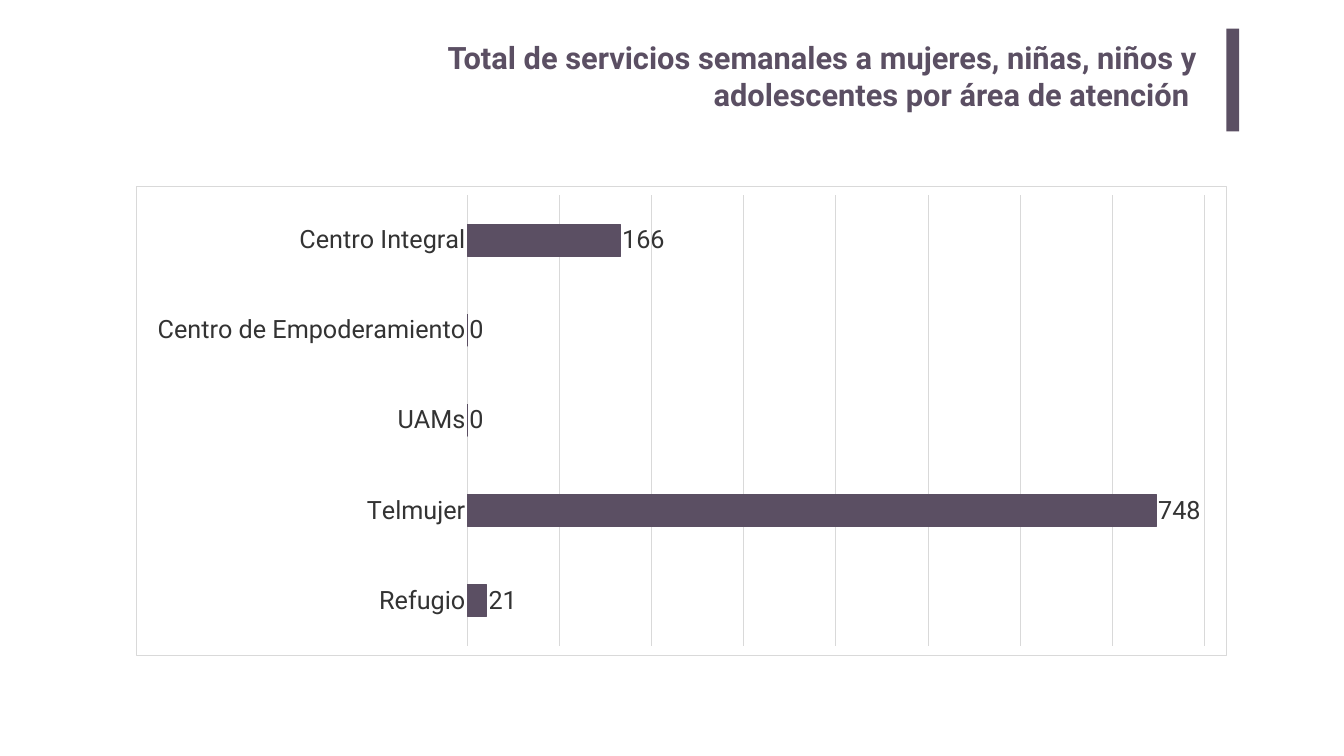
import pptx
import pptx.chart.data
import pptx.dml.color
import pptx.enum.chart
import pptx.enum.shapes
import pptx.enum.text
import pptx.oxml
import pptx.oxml.ns
import pptx.util

Pt = pptx.util.Pt
FONT = "Roboto"
COLORS = {"plum": "5B4F63", "text": "333333", "grid": "D9D9D9",
          "paper": "FFFFFF", "black": "000000"}
SERVICES = {"Centro Integral": 166, "Centro de Empoderamiento": 0, "UAMs": 0,
            "Telmujer": 748, "Refugio": 21}


def rgb(name):
    return pptx.dml.color.RGBColor.from_string(COLORS[name])


def format_font(font, size, color, bold=False):
    font.name = FONT
    font.size = Pt(size)
    font.bold = bold
    font.color.rgb = rgb(color)


def format_line(line, color):
    line.color.rgb = rgb(color)
    line.width = Pt(0.75)


def write_text(frame, text, *, size, color, bold=False, align=None):
    para = frame.paragraphs[0]
    para.alignment = align
    span = para.add_run()
    span.text = text
    format_font(span.font, size, color, bold)


def add_heading(page, left, top, width, height):
    """Right-aligned title with an upright accent bar at its right end."""
    bar_width = 18.5
    title = page.shapes.title
    title.left, title.top = Pt(left), Pt(top + 7.2)
    title.width, title.height = Pt(width - bar_width - 26.6), Pt(height)
    frame = title.text_frame
    frame.word_wrap = True
    frame.auto_size = pptx.enum.text.MSO_AUTO_SIZE.NONE
    frame.vertical_anchor = pptx.enum.text.MSO_ANCHOR.TOP
    frame.margin_left = frame.margin_right = Pt(14.4)
    frame.margin_top = frame.margin_bottom = Pt(7.2)
    write_text(frame, "Total de servicios semanales a mujeres, niñas, niños y "
               "adolescentes por área de atención ", size=44, color="plum",
               bold=True, align=pptx.enum.text.PP_ALIGN.RIGHT)

    bar = page.shapes.add_shape(
        pptx.enum.shapes.MSO_SHAPE.RECTANGLE, Pt(left + width - bar_width),
        Pt(top), Pt(bar_width), Pt(height))
    bar.shadow.inherit = False
    bar.fill.solid()
    bar.fill.fore_color.rgb = rgb("plum")
    bar.line.fill.background()


def frame_chart(chart):
    """Give the chart area its fill and thin border."""
    area = pptx.oxml.parse_xml(
        f'<c:spPr {pptx.oxml.ns.nsdecls("c", "a")}>'
        f'<a:solidFill><a:srgbClr val="{COLORS["paper"]}"/></a:solidFill>'
        f'<a:ln w="{Pt(0.75)}"><a:solidFill><a:srgbClr val="{COLORS["grid"]}"/>'
        '</a:solidFill></a:ln></c:spPr>')
    chart.element.find(pptx.oxml.ns.qn("c:chart")).addnext(area)


def add_service_chart(page, left, top, width, height):
    data = pptx.chart.data.CategoryChartData()
    data.categories = list(SERVICES)
    data.add_series("Series 1", list(SERVICES.values()))
    chart = page.shapes.add_chart(
        pptx.enum.chart.XL_CHART_TYPE.BAR_CLUSTERED,
        Pt(left), Pt(top), Pt(width), Pt(height), data).chart
    format_font(chart.font, 10, "black")
    chart.has_legend = False
    chart.has_title = False
    frame_chart(chart)

    names = chart.category_axis
    names.reverse_order = True
    names.major_tick_mark = pptx.enum.chart.XL_TICK_MARK.NONE
    format_font(names.tick_labels.font, 36, "text")
    format_line(names.format.line, "grid")

    values = chart.value_axis
    values.minimum_scale, values.maximum_scale, values.major_unit = 0, 800, 100
    values.has_major_gridlines = True
    format_line(values.major_gridlines.format.line, "grid")
    values.visible = False

    plot = chart.plots[0]
    plot.gap_width = 182
    plot.vary_by_categories = False
    bars = plot.series[0]
    bars.format.fill.solid()
    bars.format.fill.fore_color.rgb = rgb("plum")
    format_line(bars.format.line, "plum")
    labels = bars.data_labels
    labels.show_value = True
    labels.position = pptx.enum.chart.XL_LABEL_POSITION.OUTSIDE_END
    format_font(labels.font, 36, "text")


def main():
    deck = pptx.Presentation()
    deck.slide_width, deck.slide_height = Pt(1920), Pt(1080)
    page = deck.slides.add_slide(deck.slide_layouts.get_by_name("Title Only"))
    page.background.fill.solid()
    page.background.fill.fore_color.rgb = rgb("paper")
    add_heading(page, 472.3, 41, 1298, 146.9)
    add_service_chart(page, 193.7, 265, 1558, 671)
    deck.save("out.pptx")


if __name__ == "__main__":
    main()
